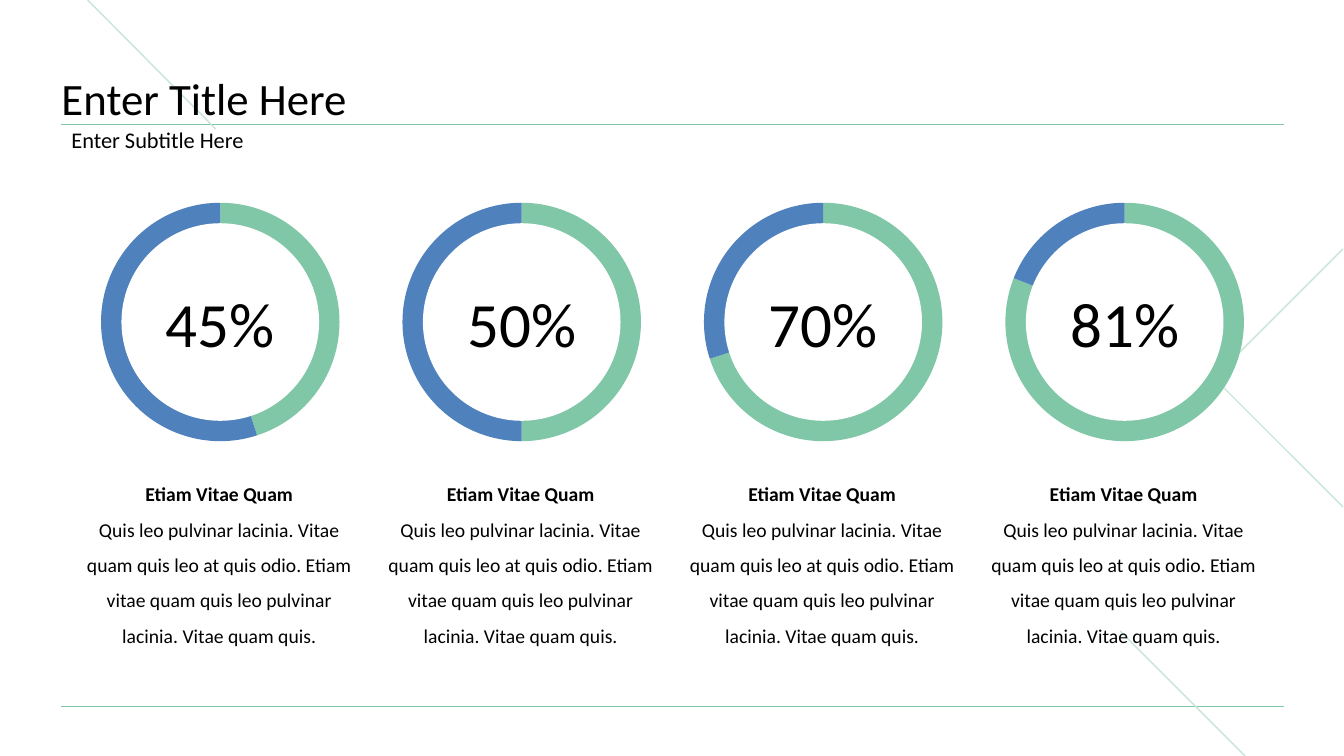
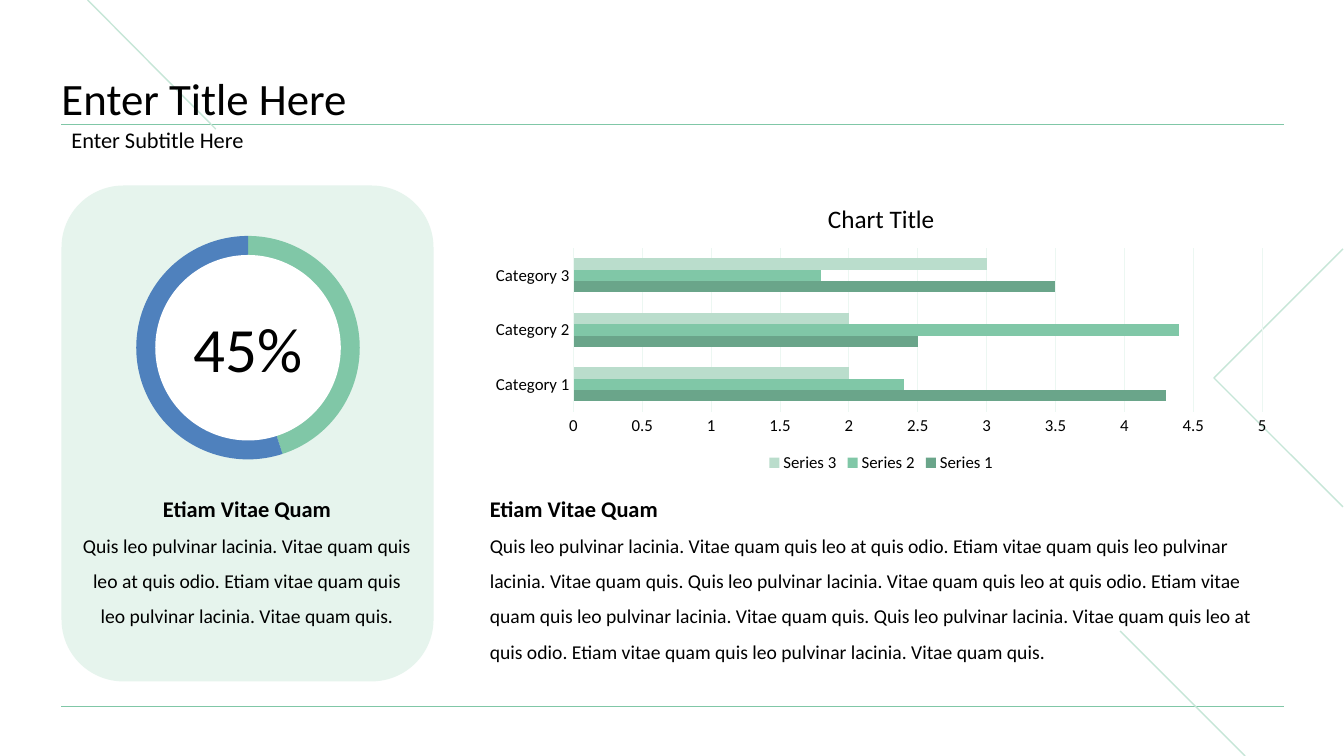
from lxml import etree
from pptx import Presentation
from pptx.chart.data import CategoryChartData
from pptx.dml.color import RGBColor
from pptx.enum import chart as ch, shapes, text
from pptx.oxml.ns import qn
from pptx.util import Inches, Pt

BLACK, WHITE = "000000", "FFFFFF"
GREEN, DARK, PALE = "80C7A7", "327155", "C6E6D7"
PANEL, GRID = "E6F4ED", "ECF7F2"
FONT = "Calibri"
LEFT, WIDTH = 0.61, 12.12
MID, LOW = text.MSO_ANCHOR.MIDDLE, text.MSO_ANCHOR.BOTTOM
CENTER = text.PP_ALIGN.CENTER

HEAD = "Etiam Vitae Quam"
BODY = ("Quis leo pulvinar lacinia. Vitae quam quis leo at quis odio. "
        "Etiam vitae quam quis leo pulvinar lacinia. Vitae quam quis.")


def rgb(code):
    return RGBColor.from_string(code)


def paint(item, code):
    item.fill.solid()
    item.fill.fore_color.rgb = rgb(code)


def stroke(line, code, width):
    line.color.rgb = rgb(code)
    line.width = Pt(width)


def style(font, size, bold=False):
    font.name, font.size, font.bold = FONT, Pt(size), bold
    font.color.rgb = rgb(BLACK)


def box(x, y, w, h):
    return [Inches(v) for v in (x, y, w, h)]


class Deck:
    """Holds the presentation, its style and the current slide."""

    def __init__(self):
        self.prs = Presentation()
        self.prs.slide_width, self.prs.slide_height = Inches(13.33), Inches(7.5)

    def start(self, title, sub):
        """Add a slide with the shared lines, title and subtitle."""
        self.slide = self.prs.slides.add_slide(self.prs.slide_layouts[6])
        self.items = self.slide.shapes
        for y in (7.01, 1.23):
            self.line(LEFT, y, LEFT + WIDTH, y, GREEN, 0.5)
        self.line(11.11, 6.26, 12.35, 7.5, PALE, 1)
        self.line(0.87, 0, 2.14, 1.28, PALE, 1)
        self.angle([(13.32, 2.47), (12.04, 3.75), (13.32, 5.03)])
        self.text(LEFT, 0.44, WIDTH, 0.8, [(title, 32, False)],
                  gap=0.9, anchor=LOW, inset=0)
        frame = self.text(LEFT, 1.23, WIDTH, 0.34, [(sub, 16, False)],
                          gap=0.9, anchor=MID)
        frame.paragraphs[0].space_before = Pt(10)

    def line(self, x1, y1, x2, y2, code, width):
        line = self.items.add_connector(
            shapes.MSO_CONNECTOR.STRAIGHT, *box(x1, y1, x2, y2))
        stroke(line.line, code, width)
        etree.SubElement(line._element.spPr, qn("a:effectLst"))

    def angle(self, points):
        """Draw an open outline through the points."""
        first, *rest = [(Inches(x), Inches(y)) for x, y in points]
        pen = self.items.build_freeform(*first)
        pen.add_line_segments(rest, close=False)
        shape = pen.convert_to_shape()
        shape.shadow.inherit = False
        shape.fill.background()
        stroke(shape.line, PALE, 1)

    def shape(self, kind, x, y, w, h, code):
        shape = self.items.add_shape(kind, *box(x, y, w, h))
        shape.shadow.inherit = False
        paint(shape, code)
        shape.line.fill.background()
        return shape

    def fill(self, frame, rows, gap=None, align=None, anchor=None, inset=None):
        """Set one paragraph for each (words, size, bold) row."""
        frame.word_wrap = True
        if anchor is not None:
            frame.vertical_anchor = anchor
        if inset is not None:
            frame.margin_left = frame.margin_right = Inches(inset)
            frame.margin_top = frame.margin_bottom = Inches(inset)
        frame.text = "\n".join(row[0] for row in rows)
        for par, (_, size, bold) in zip(frame.paragraphs, rows):
            par.alignment, par.line_spacing = align, gap
            style(par.runs[0].font, size, bold)

    def text(self, x, y, w, h, rows, **opts):
        frame = self.items.add_textbox(*box(x, y, w, h)).text_frame
        self.fill(frame, rows, **opts)
        return frame

    def note(self, x, y, w, h, size, body=BODY, align=None):
        self.text(x, y, w, h, [(HEAD, size, True), (body, 14, False)],
                  gap=1.5, align=align)

    def chart(self, kind, x, y, w, h, cats, rows):
        data = CategoryChartData()
        data.categories = cats
        for name, vals in rows:
            data.add_series(name, vals)
        chart = self.items.add_chart(kind, *box(x, y, w, h), data).chart
        chart.plots[0].vary_by_categories = False
        return chart

    def ring(self, x, y, size, share):
        """Draw a pie with a white disk that shows the share."""
        pie = self.chart(ch.XL_CHART_TYPE.PIE, x, y, size, size, ["1", "2"],
                         [("Series 1", (share, 100 - share))])
        pie.has_title = pie.has_legend = False
        self.spread(pie)
        row = pie.plots[0].series[0]
        paint(row.format, DARK)
        row.format.line.fill.background()
        part = row.points[0].format
        paint(part, GREEN)
        part.line.fill.background()
        hole = round(size * 0.82, 2)
        pad = (size - hole) / 2
        disk = self.shape(shapes.MSO_SHAPE.OVAL, x + pad, y + pad,
                          hole, hole, WHITE)
        self.fill(disk.text_frame, [(f"{share}%", 45, False)],
                  align=CENTER, anchor=MID, inset=0)

    def spread(self, chart):
        """Let the plot take up the whole chart frame."""
        area = chart._chartSpace.find(".//" + qn("c:plotArea"))
        for old in area.findall(qn("c:layout")):
            area.remove(old)
        layout = etree.Element(qn("c:layout"))
        area.insert(0, layout)
        manual = etree.SubElement(layout, qn("c:manualLayout"))
        for tag, val in (("layoutTarget", "inner"), ("xMode", "edge"),
                         ("yMode", "edge"), ("x", "0.005"), ("y", "0.005"),
                         ("w", "0.99"), ("h", "0.99")):
            etree.SubElement(manual, qn("c:" + tag)).set("val", val)

    def bars(self, x, y, w, h, title, cats, rows, codes):
        chart = self.chart(ch.XL_CHART_TYPE.BAR_CLUSTERED, x, y, w, h, cats, rows)
        style(chart.font, 10)
        chart.has_title = True
        head = chart.chart_title.text_frame
        head.text = title
        style(head.paragraphs[0].runs[0].font, 18)
        chart.has_legend = True
        chart.legend.position = ch.XL_LEGEND_POSITION.BOTTOM
        chart.legend.include_in_layout = False
        style(chart.legend.font, 12)
        plot = chart.plots[0]
        plot.gap_width, plot.overlap = 182, 0
        for row, code in zip(plot.series, codes):
            paint(row.format, code)
        cat, val = chart.category_axis, chart.value_axis
        for axis in (cat, val):
            axis.major_tick_mark = axis.minor_tick_mark = ch.XL_TICK_MARK.NONE
            style(axis.tick_labels.font, 12)
        stroke(cat.format.line, GRID, 0.75)
        val.format.line.fill.background()
        val.has_major_gridlines = True
        stroke(val.major_gridlines.format.line, GRID, 0.75)
        val.minimum_scale, val.maximum_scale, val.major_unit = 0, 5, 0.5


def main():
    deck = Deck()
    title, sub = "Enter Title Here", "Enter Subtitle Here"

    deck.start(title, sub)
    for col, share in enumerate((45, 50, 70, 81)):
        x = 0.74 + 2.99 * col
        deck.ring(x + 0.25, 2, 2.39, share)
        deck.note(x, 4.62, 2.87, 1.83, 14, align=CENTER)

    deck.start(title, sub)
    deck.shape(shapes.MSO_SHAPE.ROUNDED_RECTANGLE, LEFT, 1.84, 3.69, 4.92, PANEL)
    deck.ring(1.34, 2.33, 2.24, 45)
    deck.note(0.71, 4.73, 3.48, 1.53, 16, align=CENTER)
    deck.bars(4.76, 1.84, 7.96, 2.89, "Chart Title",
              ["Category 1", "Category 2", "Category 3"],
              [("Series 1", (4.3, 2.5, 3.5)),
               ("Series 2", (2.4, 4.4, 1.8)),
               ("Series 3", (2, 2, 3))],
              ("6AA58A", GREEN, "BADDCC"))
    deck.note(4.76, 4.73, 7.96, 1.88, 16, " ".join([BODY] * 3))

    deck.prs.save("out.pptx")


if __name__ == "__main__":
    main()
